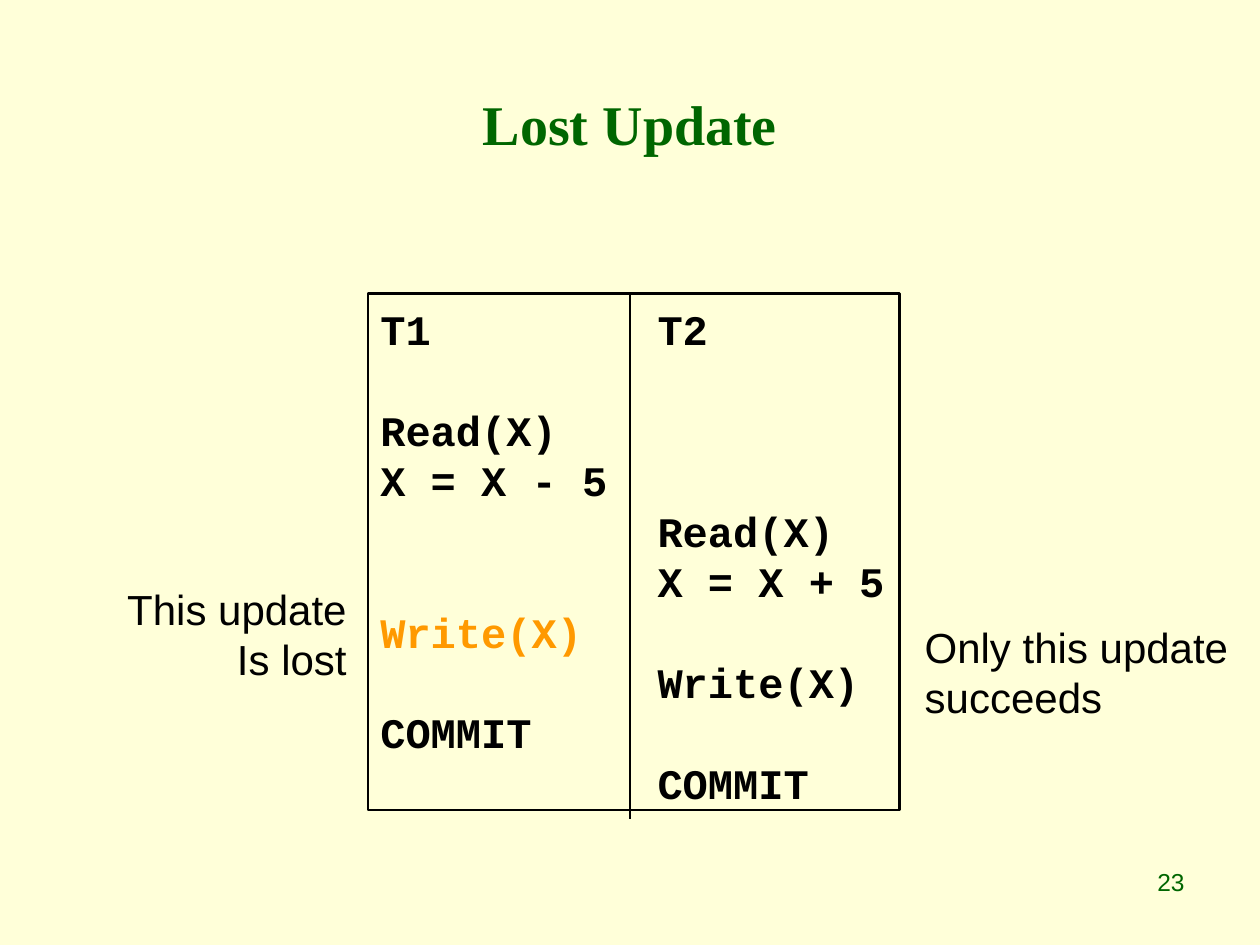
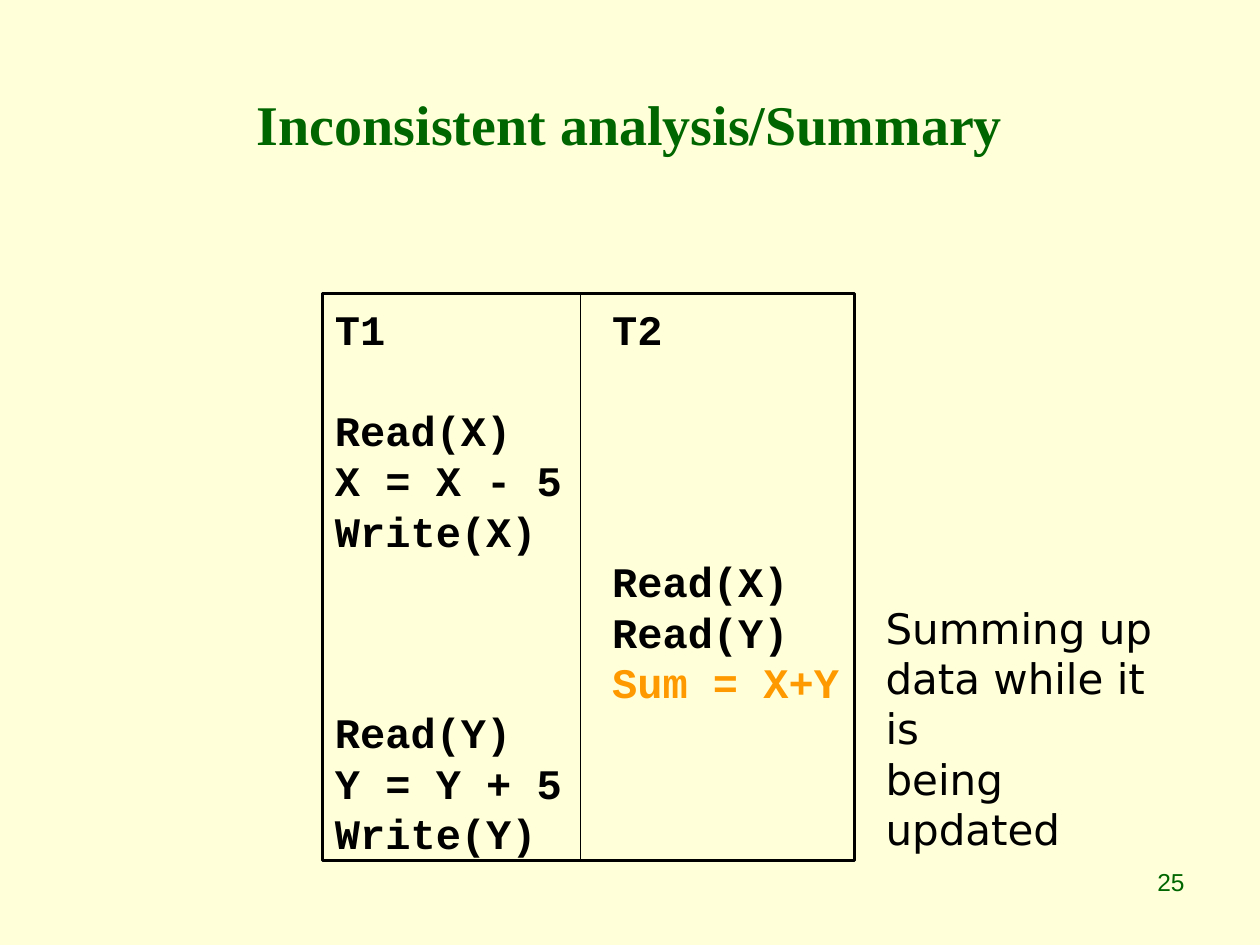
from lxml.etree import SubElement
from pptx import Presentation
from pptx.dml.color import RGBColor
from pptx.enum.shapes import MSO_CONNECTOR as Connector, MSO_SHAPE as Shape
from pptx.enum.text import MSO_ANCHOR as Anchor, PP_ALIGN as Align
from pptx.oxml.ns import qn
from pptx.util import Inches, Pt

CREAM, GREEN, BLACK, ORANGE = "FFFFD9", "006600", "000000", "FF9900"
SCHEDULE_TOP, SCHEDULE_WIDTH, ROW_HEIGHT, T2_INDENT = 2.33, 4.22, 0.4, 2.2
LEADING = 1.2

SLIDES = [
    {
        "title": "Lost Update",
        "number": "23",
        "left": 2.92,
        "steps": [("T1", "Read(X)"), ("T1", "X = X - 5"), ("T2", "Read(X)"),
                  ("T2", "X = X + 5"), ("T1", "Write(X)"), ("T2", "Write(X)"),
                  ("T1", "COMMIT"), ("T2", "COMMIT")],
        "anomaly": ("T1", "Write(X)"),
        "divider": {"x": 5, "bottom": 6.5, "weight": 1.5},
        "remarks": [
            {"lines": ["This update", "Is lost"], "at": (0.91, 4.58, 1.94, 0.9),
             "align": Align.RIGHT, "font": "Arial", "wrap": False},
            {"lines": ["Only this update", "succeeds"], "at": (7.24, 4.88, 2.61, 0.9),
             "align": Align.LEFT, "font": "Arial", "wrap": False},
        ],
    },
    {
        "title": "Inconsistent analysis/Summary",
        "number": "25",
        "left": 2.56,
        "steps": [("T1", "Read(X)"), ("T1", "X = X - 5"), ("T1", "Write(X)"),
                  ("T2", "Read(X)"), ("T2", "Read(Y)"), ("T2", "Sum = X+Y"),
                  ("T1", "Read(Y)"), ("T1", "Y = Y + 5"), ("T1", "Write(Y)")],
        "anomaly": ("T2", "Sum = X+Y"),
        "divider": {"x": 4.61, "bottom": 6.83, "weight": 0.75},
        "remarks": [
            {"lines": ["Summing up", "data while it is", "being updated"],
             "at": (6.93, 4.73, 2.52, 1.3),
             "align": Align.LEFT, "font": "DejaVu Sans", "wrap": True},
        ],
    },
]


def color(value):
    return RGBColor.from_string(value)


def write(frame, lines, size=24, font="Arial", fill=BLACK, bold=False,
          align=Align.LEFT, anchor=Anchor.TOP, wrap=True, top_inset=0.05):
    frame.word_wrap = wrap
    frame.vertical_anchor = anchor
    frame.margin_top = Inches(top_inset)
    for index, line in enumerate(lines):
        paragraph = frame.add_paragraph() if index else frame.paragraphs[0]
        paragraph.alignment = align
        paragraph.line_spacing = Pt(size * LEADING)
        run = paragraph.add_run()
        run.text = line
        run.font.size = Pt(size)
        run.font.name = font
        run.font.bold = bold
        run.font.color.rgb = color(fill)


def add_text(slide, lines, at, **style):
    write(slide.shapes.add_textbox(*map(Inches, at)).text_frame, lines, **style)


def add_schedule(slide, left, steps, anomaly):
    height = (len(steps) + 2) * ROW_HEIGHT + 0.1
    schedule = slide.shapes.add_shape(
        Shape.RECTANGLE, *map(Inches, (left, SCHEDULE_TOP, SCHEDULE_WIDTH, height)))
    schedule.shadow.inherit = False
    schedule.fill.background()
    schedule.line.color.rgb = color(BLACK)
    schedule.line.width = Pt(1.5)
    lines = ["T1\tT2"] + [step if who == "T1" else "\t" + step for who, step in steps]
    write(schedule.text_frame, lines, font="Courier New", bold=True, top_inset=0.08)
    paragraphs = schedule.text_frame.paragraphs
    paragraphs[0].space_after = Inches(ROW_HEIGHT)
    paragraphs[1 + steps.index(anomaly)].runs[0].font.color.rgb = color(ORANGE)
    for paragraph in paragraphs:
        tabs = SubElement(paragraph._p.get_or_add_pPr(), qn("a:tabLst"))
        SubElement(tabs, qn("a:tab"), pos=str(Inches(T2_INDENT)), algn="l")


def add_divider(slide, x, bottom, weight):
    divider = slide.shapes.add_connector(
        Connector.STRAIGHT, *map(Inches, (x, SCHEDULE_TOP, x, bottom)))
    divider.line.color.rgb = color(BLACK)
    divider.line.width = Pt(weight)
    SubElement(divider._element.spPr, qn("a:effectLst"))


def add_slide(deck, content):
    slide = deck.slides.add_slide(deck.slide_layouts[5])
    slide.background.fill.solid()
    slide.background.fill.fore_color.rgb = color(CREAM)
    title = slide.shapes.title
    title.left, title.top, title.width, title.height = map(Inches, (0.5, 0.63, 9, 0.7))
    write(title.text_frame, [content["title"]], size=32, font="Times New Roman",
          fill=GREEN, bold=True, align=Align.CENTER, anchor=Anchor.MIDDLE)
    add_schedule(slide, content["left"], content["steps"], content["anomaly"])
    add_divider(slide, **content["divider"])
    for remark in content["remarks"]:
        add_text(slide, **remark)
    add_text(slide, [content["number"]], (7.17, 6.83, 2.33, 0.52),
             size=14, fill=GREEN, align=Align.RIGHT)


def main():
    deck = Presentation()
    deck.slide_width, deck.slide_height = Inches(10), Inches(7.5)
    for content in SLIDES:
        add_slide(deck, content)
    deck.save("out.pptx")


if __name__ == "__main__":
    main()
